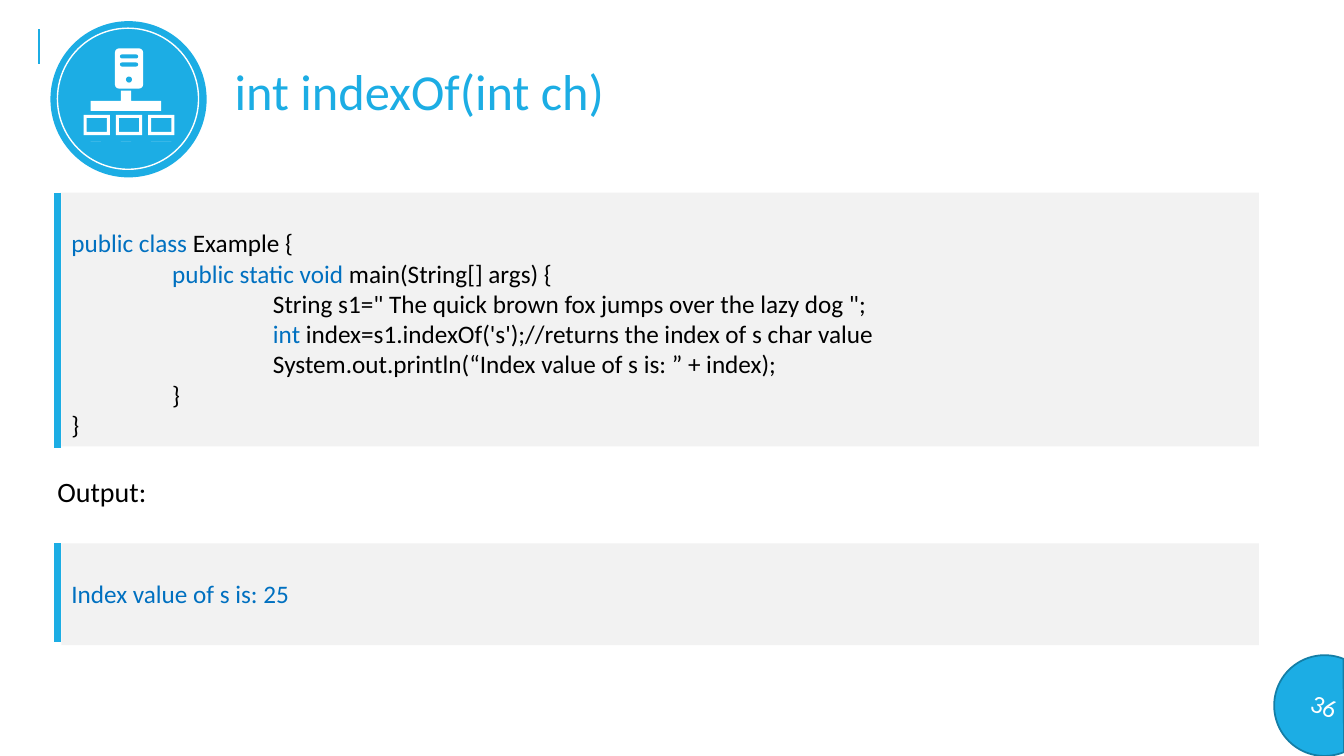
"""Builds the slide about int indexOf(int ch)."""
from pptx import Presentation
from pptx import util as u
from pptx.dml.color import RGBColor
from pptx.enum import shapes, text
from pptx.oxml import parse_xml
from pptx.oxml.ns import nsdecls

CELL = u.Inches(0.1)
COLUMNS, ROWS = 133.33, 75
COLORS = {"accent": "1CADE4", "edge": "147EA6", "panel": "F2F2F2",
          "keyword": "0070C0", "plain": "000000", "white": "FFFFFF"}
KIND = shapes.MSO_SHAPE
TOP, MIDDLE = text.MSO_ANCHOR.TOP, text.MSO_ANCHOR.MIDDLE
CODE = [
    (0, [("public class ", "keyword"), ("Example {", "plain")]),
    (1, [("public static void ", "keyword"), ("main(String[] args) {", "plain")]),
    (2, [("String s1=\" The quick brown fox jumps over the lazy dog \";", "plain")]),
    (2, [("int", "keyword"),
         (" index=s1.indexOf('s');//returns the index of s char value", "plain")]),
    (2, [("System.out.println(“Index value of s is: ” + index);", "plain")]),
    (1, [("}", "plain")]),
    (0, [("}", "plain")]),
]
RESULT = [(0, [("Index value of s is: 25", "keyword")])]


def cells(*counts):
    """Turn counts of grid cells into lengths."""
    return [u.Emu(round(count * CELL)) for count in counts]


def color(name):
    """Look up a colour by its role."""
    return RGBColor.from_string(COLORS[name])


def apply(target, values):
    """Set attributes from a dict of format values."""
    for name, value in values.items():
        setattr(target, name, value)


def paint(shape, fill, edge=None, weight=1):
    """Give a shape a flat fill and an optional outline."""
    shape.shadow.inherit = False
    shape.fill.solid()
    shape.fill.fore_color.rgb = color(fill)
    if edge:
        shape.line.color.rgb = color(edge)
        shape.line.width = u.Pt(weight)
    else:
        shape.line.fill.background()
    return shape


def add_preset(parent, kind, box, fill, edge=None, weight=1, adjustments=()):
    """Add a preset shape placed on the grid."""
    shape = parent.add_shape(kind, *cells(*box))
    for index, value in enumerate(adjustments):
        shape.adjustments[index] = value
    return paint(shape, fill, edge, weight)


def add_outline(parent, points, fill):
    """Add a closed polygon from grid points."""
    start, *rest = points
    builder = parent.build_freeform(*start, scale=CELL)
    builder.add_line_segments(rest, close=True)
    return paint(builder.convert_to_shape(), fill)


def add_rule(parent, column, top, bottom, weight):
    """Add a vertical accent line."""
    rule = parent.add_connector(shapes.MSO_CONNECTOR.STRAIGHT,
                                *cells(column, top, column, bottom))
    rule.line.color.rgb = color("accent")
    rule.line.width = u.Pt(weight)
    rule._element.spPr.append(parse_xml(f"<a:effectLst {nsdecls('a')}/>"))


def write(shape, lines, size, frame_format, align=text.PP_ALIGN.LEFT):
    """Fill a shape with indented lines of coloured runs."""
    frame = shape.text_frame
    apply(frame, frame_format)
    for index, (depth, runs) in enumerate(lines):
        paragraph = frame.add_paragraph() if index else frame.paragraphs[0]
        apply(paragraph, {"alignment": align, "level": 2 * depth})
        for content, role in runs:
            run = paragraph.add_run()
            run.text = content
            apply(run.font, {"name": "Calibri", "size": u.Pt(size)})
            run.font.color.rgb = color(role)


def add_label(parent, box, content, size, role, wrap):
    """Add a single-line text box."""
    label = parent.add_textbox(*cells(*box))
    write(label, [(0, [(content, role)])], size, {"word_wrap": wrap})


def add_panel(parent, top, height, rule_height, lines):
    """Add a grey panel with an accent line at its left."""
    group = parent.add_group_shape().shapes
    panel = add_preset(group, KIND.RECTANGLE, (6.1, top, 118.8, height), "panel")
    write(panel, lines, 18, {"word_wrap": True, "vertical_anchor": TOP,
                             "margin_top": u.Inches(0.35)})
    add_rule(group, 5.7, top, top + rule_height, 4.5)


def add_computer(parent, left):
    """Add a monitor on its stand."""
    add_preset(parent, KIND.FRAME, (left, 11.4, 2.6, 2), "white", adjustments=[0.15])
    foot = [(0.9, 13.6), (1.7, 13.6), (1.7, 13.8), (1.9, 14), (0.7, 14), (0.9, 13.8)]
    add_outline(parent, [(left + x, y) for x, y in foot], "white")


def add_network_icon(parent):
    """Add the round icon of a server joined to three computers."""
    group = parent.add_group_shape().shapes
    add_preset(group, KIND.OVAL, (5, 2.1, 15.5, 15.5), "accent")
    add_preset(group, KIND.OVAL, (5.7, 2.8, 14, 14), "accent", "white")
    add_preset(group, KIND.ROUNDED_RECTANGLE, (11.4, 4.8, 2.8, 4), "white",
               adjustments=[0.15])
    for top in (5.4, 6.2):
        add_preset(group, KIND.ROUNDED_RECTANGLE, (11.9, top, 1.8, 0.4), "accent",
                   adjustments=[0.5])
    add_preset(group, KIND.OVAL, (12.5, 7.6, 0.6, 0.6), "accent")
    right_half = [(0.3, 9.4), (0.3, 10), (3.45, 10), (3.45, 11.3), (2.85, 11.3),
                  (2.85, 10.7), (0.3, 10.7), (0.3, 11.3)]
    left_half = [(-x, y) for x, y in reversed(right_half)]
    add_outline(group, [(12.8 + x, y) for x, y in right_half + left_half], "white")
    for index in range(3):
        add_computer(group, 8.3 + 3.2 * index)


def add_page_number(parent, number):
    """Add the tilted badge with the page number."""
    badge = add_preset(parent, KIND.CHORD, (126.4, 65, 10, 10), "accent", "edge",
                       1.25, [27, 161.87])
    badge.rotation = 22.2
    write(badge, [(0, [(number, "white")])], 18,
          {"word_wrap": True, "vertical_anchor": MIDDLE}, text.PP_ALIGN.CENTER)


def main():
    """Build and save the slide."""
    presentation = Presentation()
    width, height = cells(COLUMNS, ROWS)
    apply(presentation, {"slide_width": width, "slide_height": height})
    slide = presentation.slides.add_slide(presentation.slide_layouts[6])
    add_rule(slide.shapes, 3.9, 2.9, 6.4, 1.5)
    add_label(slide.shapes, (22.3, 5.5, 102.6, 7.1), "int indexOf(int ch)", 36,
              "accent", True)
    add_page_number(slide.shapes, "36")
    add_network_icon(slide.shapes)
    add_panel(slide.shapes, 19.1, 25.2, 25.3, CODE)
    add_panel(slide.shapes, 53.9, 10.1, 9.8, RESULT)
    add_label(slide.shapes, (4.7, 46.6, 10.9, 4.4), "Output:", 20, "plain", False)
    presentation.save("out.pptx")


if __name__ == "__main__":
    main()
